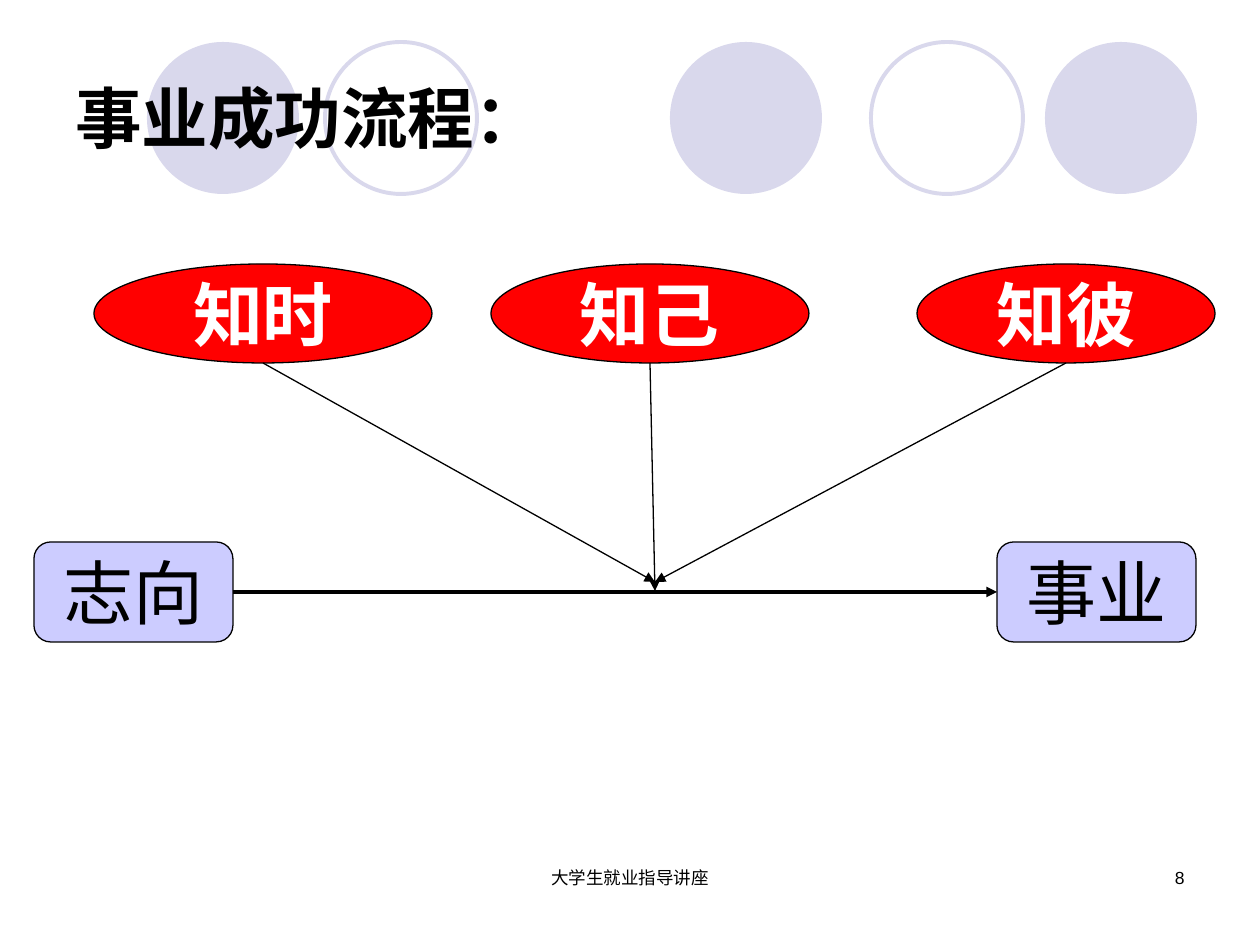
from dataclasses import dataclass

from pptx import Presentation
from pptx import util as u
from pptx.dml.color import RGBColor
from pptx.enum import shapes, text
from pptx.oxml.ns import qn
from lxml import etree

EMU_PER_PX = 914400 / 126


def px(length):
    return u.Emu(round(length * EMU_PER_PX))


@dataclass(frozen=True)
class Theme:
    font: str = "Arial"
    ink: str = "000000"
    light: str = "FFFFFF"
    decor: str = "D9D8EC"
    box: str = "CCCCFF"
    oval: str = "FF0000"
    title_size: float = 38
    label_size: float = 40
    footer_size: float = 10
    thin: float = 0.75
    ring: float = 2.25
    thick: float = 2


class Painter:
    """Draws themed elements on one slide, with lengths in px."""

    def __init__(self, slide, theme):
        self.slide = slide
        self.theme = theme

    def set_words(self, shape, words, size, color, bold=False,
                  align=text.PP_ALIGN.LEFT, anchor=text.MSO_ANCHOR.MIDDLE, wrap=True):
        frame = shape.text_frame
        frame.text = words
        frame.word_wrap = wrap
        frame.vertical_anchor = anchor
        para = frame.paragraphs[0]
        para.alignment = align
        font = para.runs[0].font
        font.name, font.size, font.bold = self.theme.font, u.Pt(size), bold
        font.color.rgb = RGBColor.from_string(color)

    def shape(self, kind, left, top, width, height, fill=None, line=None, weight=0.75):
        shape = self.slide.shapes.add_shape(kind, px(left), px(top), px(width), px(height))
        shape.shadow.inherit = False
        if fill:
            shape.fill.solid()
            shape.fill.fore_color.rgb = RGBColor.from_string(fill)
        else:
            shape.fill.background()
        if line:
            shape.line.color.rgb = RGBColor.from_string(line)
            shape.line.width = u.Pt(weight)
        else:
            shape.line.fill.background()
        return shape

    def label(self, kind, left, top, width, height, words, fill, color, bold=False):
        shape = self.shape(kind, left, top, width, height, fill, self.theme.ink, self.theme.thin)
        self.set_words(shape, words, self.theme.label_size, color, bold,
                       text.PP_ALIGN.CENTER, wrap=False)
        return shape

    def text(self, left, top, width, height, words, size, **style):
        box = self.slide.shapes.add_textbox(px(left), px(top), px(width), px(height))
        self.set_words(box, words, size, self.theme.ink, **style)

    def arrow(self, start, end, weight):
        arrow = self.slide.shapes.add_connector(
            shapes.MSO_CONNECTOR.STRAIGHT, *map(px, start + end))
        arrow.line.color.rgb = RGBColor.from_string(self.theme.ink)
        arrow.line.width = u.Pt(weight)
        properties = arrow._element.spPr
        etree.SubElement(properties.find(qn("a:ln")), qn("a:tailEnd"), type="triangle")
        etree.SubElement(properties, qn("a:effectLst"))
        return arrow


def main():
    deck = Presentation()
    deck.slide_width, deck.slide_height = px(1260), px(945)
    theme = Theme()
    painter = Painter(deck.slides.add_slide(deck.slide_layouts[6]), theme)
    kinds = shapes.MSO_SHAPE

    for left in (670, 1045, 147):
        painter.shape(kinds.OVAL, left, 42, 152, 152, fill=theme.decor)
    for left in (871, 325):
        painter.shape(kinds.OVAL, left, 42, 152, 152, line=theme.decor, weight=theme.ring)
    painter.text(63, 38, 1134, 158, "事业成功流程：", theme.title_size, bold=True)

    start, goal = [
        painter.label(kinds.ROUNDED_RECTANGLE, left, 542, 199, 100, words, theme.box, theme.ink)
        for left, words in ((34, "志向"), (997, "事业"))]
    career_arrow = painter.arrow((233, 592), (997, 592), theme.thick)
    career_arrow.begin_connect(start, 3)
    career_arrow.end_connect(goal, 1)

    oval_top, oval_height = 264, 99
    for left, width, words, tip in ((94, 338, "知时", 582), (491, 318, "知己", 591),
                                    (917, 298, "知彼", 582)):
        painter.label(kinds.OVAL, left, oval_top, width, oval_height, words,
                      theme.oval, theme.light, bold=True)
        painter.arrow((left + width // 2, oval_top + oval_height), (655, tip), theme.thin)

    for left, width, words, align in (
            (430, 400, "大学生就业指导讲座", text.PP_ALIGN.CENTER),
            (903, 294, "8", text.PP_ALIGN.RIGHT)):
        painter.text(left, 861, width, 63, words, theme.footer_size,
                     align=align, anchor=text.MSO_ANCHOR.TOP)

    deck.save("out.pptx")


if __name__ == "__main__":
    main()
